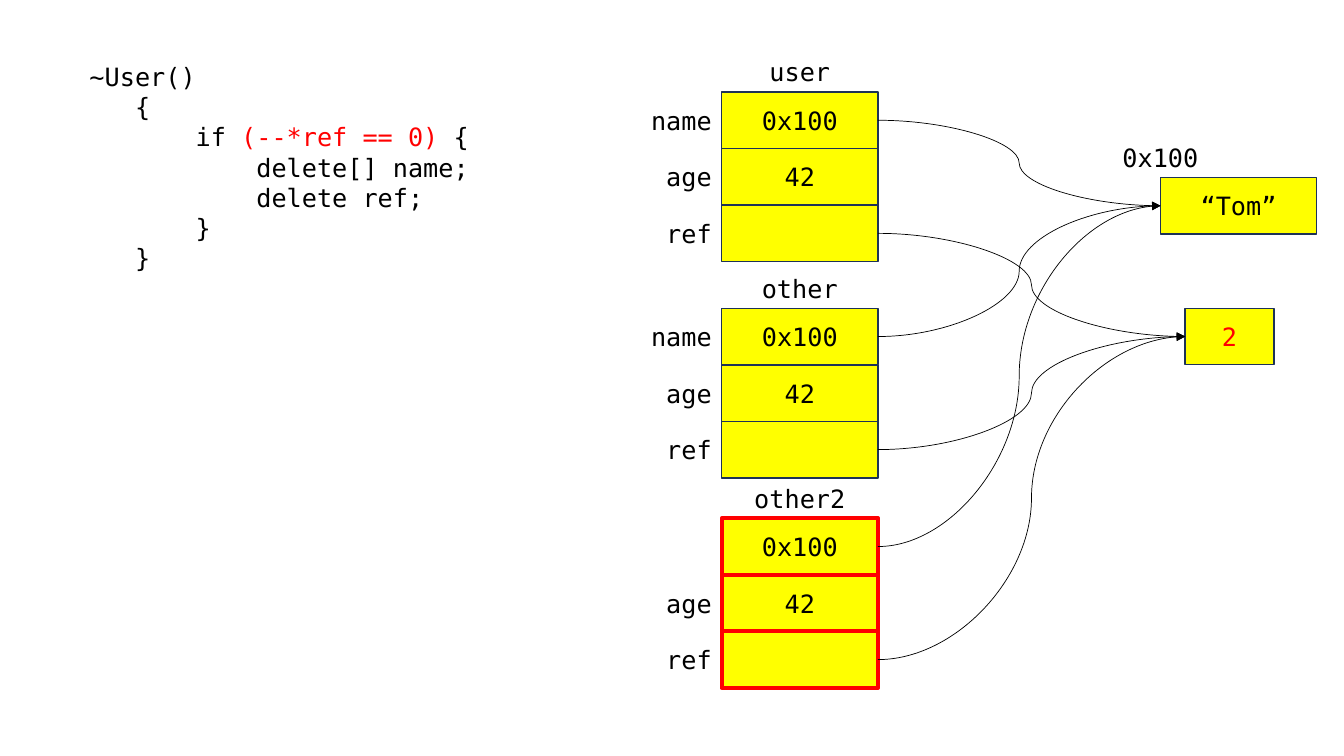
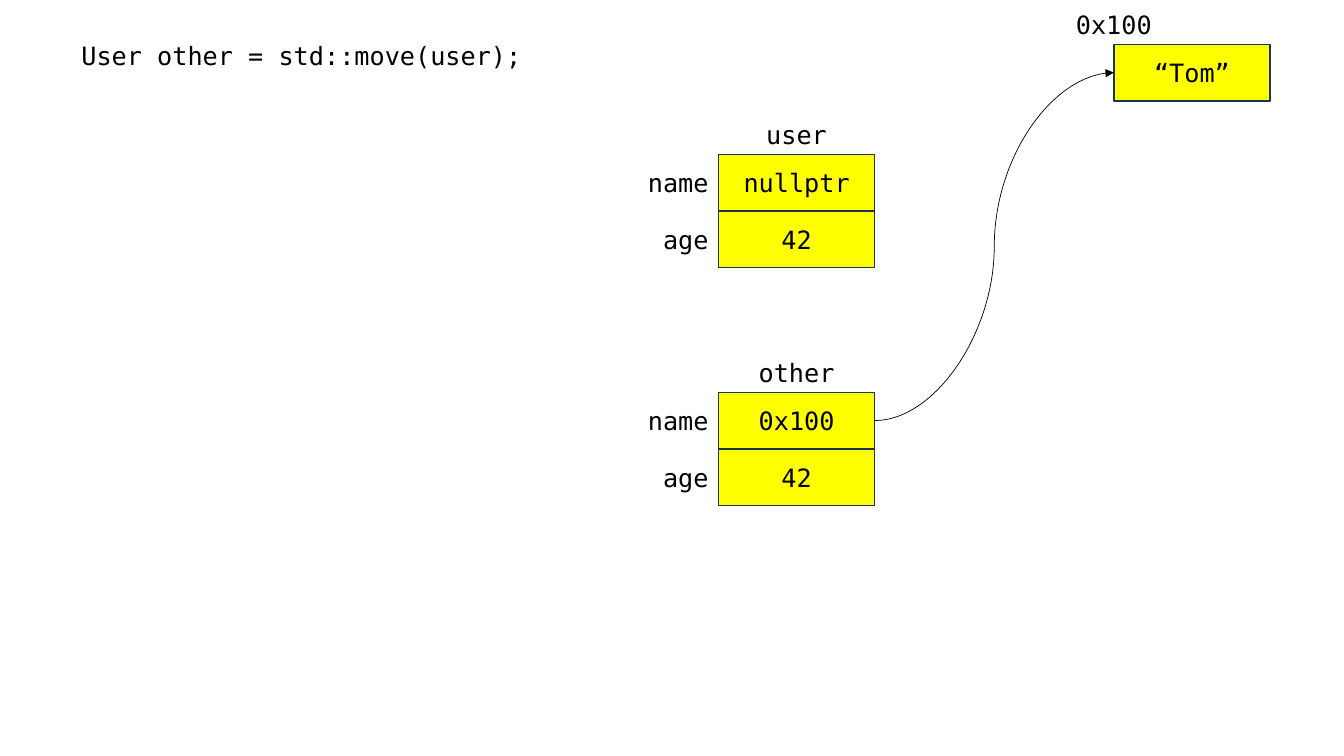
from lxml import etree
from pptx import Presentation
from pptx.dml.color import RGBColor
from pptx.enum.shapes import MSO_CONNECTOR, MSO_SHAPE
from pptx.enum.text import MSO_ANCHOR, PP_ALIGN
from pptx.oxml.ns import qn
from pptx.util import Pt

CURVE, RECTANGLE = MSO_CONNECTOR.CURVE, MSO_SHAPE.RECTANGLE
LEFT, CENTER, RIGHT = PP_ALIGN.LEFT, PP_ALIGN.CENTER, PP_ALIGN.RIGHT
MIDDLE = MSO_ANCHOR.MIDDLE
LEFT_SIDE, RIGHT_SIDE = 1, 3

BLACK = RGBColor(0x00, 0x00, 0x00)
RED = RGBColor(0xFF, 0x00, 0x00)
YELLOW = RGBColor(0xFF, 0xFF, 0x00)
NAVY = RGBColor(0x1E, 0x32, 0x56)

FONT = "DejaVu Sans Mono"
FONT_SIZE = 18
LINE_HEIGHT = 21.6
CELL_WIDTH, CELL_HEIGHT = 111.6, 40.4
LABEL_WIDTH, LABEL_HEIGHT = 91.4, 28.8
CODE_WIDTH = 480

DESTRUCTOR = """ ~User()
    {
        if (--*ref == 0) {
            delete[] name;
            delete ref;
        }
    }"""

# Objects: title, top, outline colour, outline width, (field label, value, arrow target)
# Heap cells: left, top, width, value, red part, address above
SLIDES = [
    {
        "code": (46, 40.2, DESTRUCTOR, "(--*ref == 0)"),
        "objects_left": 515.5,
        "objects": [
            ("user", 65.7, NAVY, 1,
             [("name", "0x100", "string"), ("age", "42", ""), ("ref", "", "counter")]),
            ("other", 220.2, NAVY, 1,
             [("name", "0x100", "string"), ("age", "42", ""), ("ref", "", "counter")]),
            ("other2", 370.2, RED, 3,
             [("", "0x100", "string"), ("age", "42", ""), ("ref", "", "counter")]),
        ],
        "heap": {
            "string": (828.9, 126.8, CELL_WIDTH, "“Tom”", "", "0x100"),
            "counter": (846.5, 220.2, 63.4, "2", "2", ""),
        },
    },
    {
        "code": (40.2, 25.2, " User other = std::move(user);", ""),
        "objects_left": 513.2,
        "objects": [
            ("user", 110.4, NAVY, 1, [("name", "nullptr", ""), ("age", "42", "")]),
            ("other", 280.2, NAVY, 1, [("name", "0x100", "string"), ("age", "42", "")]),
        ],
        "heap": {
            "string": (795.6, 31.7, CELL_WIDTH, "“Tom”", "", "0x100"),
        },
    },
]


def add_label(slide, left, top, width, text, alignment, red_part="", shape=None):
    """Write text into the given shape, or into a new text box."""
    if shape is None:
        height = LABEL_HEIGHT + LINE_HEIGHT * text.count("\n")
        shape = slide.shapes.add_textbox(Pt(left), Pt(top), Pt(width), Pt(height))
    text_frame = shape.text_frame
    text_frame.word_wrap = True
    for index, line in enumerate(text.split("\n")):
        paragraph = text_frame.add_paragraph() if index else text_frame.paragraphs[0]
        paragraph.alignment = alignment
        paragraph.line_spacing = Pt(LINE_HEIGHT)
        for part in line.partition(red_part) if red_part else [line]:
            if part:
                run = paragraph.add_run()
                run.text = part
                run.font.name = FONT
                run.font.size = Pt(FONT_SIZE)
                run.font.color.rgb = RED if part == red_part else BLACK


def add_cell(slide, left, top, width, text, outline=NAVY, outline_width=1, red_part=""):
    cell = slide.shapes.add_shape(RECTANGLE, Pt(left), Pt(top), Pt(width), Pt(CELL_HEIGHT))
    cell.shadow.inherit = False
    cell.fill.solid()
    cell.fill.fore_color.rgb = YELLOW
    cell.line.color.rgb = outline
    cell.line.width = Pt(outline_width)
    cell.text_frame.vertical_anchor = MIDDLE
    add_label(slide, left, top, width, text, CENTER, red_part, cell)
    return cell


presentation = Presentation()
presentation.slide_width = Pt(960)
presentation.slide_height = Pt(540)
blank_layout = presentation.slide_layouts[6]

for content in SLIDES:
    slide = presentation.slides.add_slide(blank_layout)

    # Code
    code_left, code_top, code, red_part = content["code"]
    add_label(slide, code_left, code_top, CODE_WIDTH, code, LEFT, red_part)

    # Heap cells, each address centred on the cell's left edge
    heap_cells = {}
    for name, (left, top, width, value, red_part, address) in content["heap"].items():
        heap_cells[name] = add_cell(slide, left, top, width, value, red_part=red_part)
        if address:
            add_label(slide, left - LABEL_WIDTH / 2, top - LABEL_HEIGHT,
                      LABEL_WIDTH, address, CENTER)

    # Objects with their fields
    arrows = []
    left = content["objects_left"]
    for title, top, outline, outline_width, fields in content["objects"]:
        add_label(slide, left + (CELL_WIDTH - LABEL_WIDTH) / 2, top - LABEL_HEIGHT,
                  LABEL_WIDTH, title, CENTER)
        for row, (field, value, target) in enumerate(fields):
            cell_top = top + row * CELL_HEIGHT
            cell = add_cell(slide, left, cell_top, CELL_WIDTH, value, outline, outline_width)
            if field:
                add_label(slide, left - LABEL_WIDTH,
                          cell_top + (CELL_HEIGHT - LABEL_HEIGHT) / 2,
                          LABEL_WIDTH, field, RIGHT)
            if target:
                arrows.append((cell, heap_cells[target]))

    # Pointer arrows
    for pointer, target_cell in arrows:
        arrow = slide.shapes.add_connector(CURVE, 0, 0, 0, 0)
        arrow.begin_connect(pointer, RIGHT_SIDE)
        arrow.end_connect(target_cell, LEFT_SIDE)
        arrow.line.color.rgb = BLACK
        arrow.line.width = Pt(0.5)
        etree.SubElement(arrow.line._get_or_add_ln(), qn("a:tailEnd"), type="triangle")
        etree.SubElement(arrow._element.spPr, qn("a:effectLst"))

presentation.save("out.pptx")
